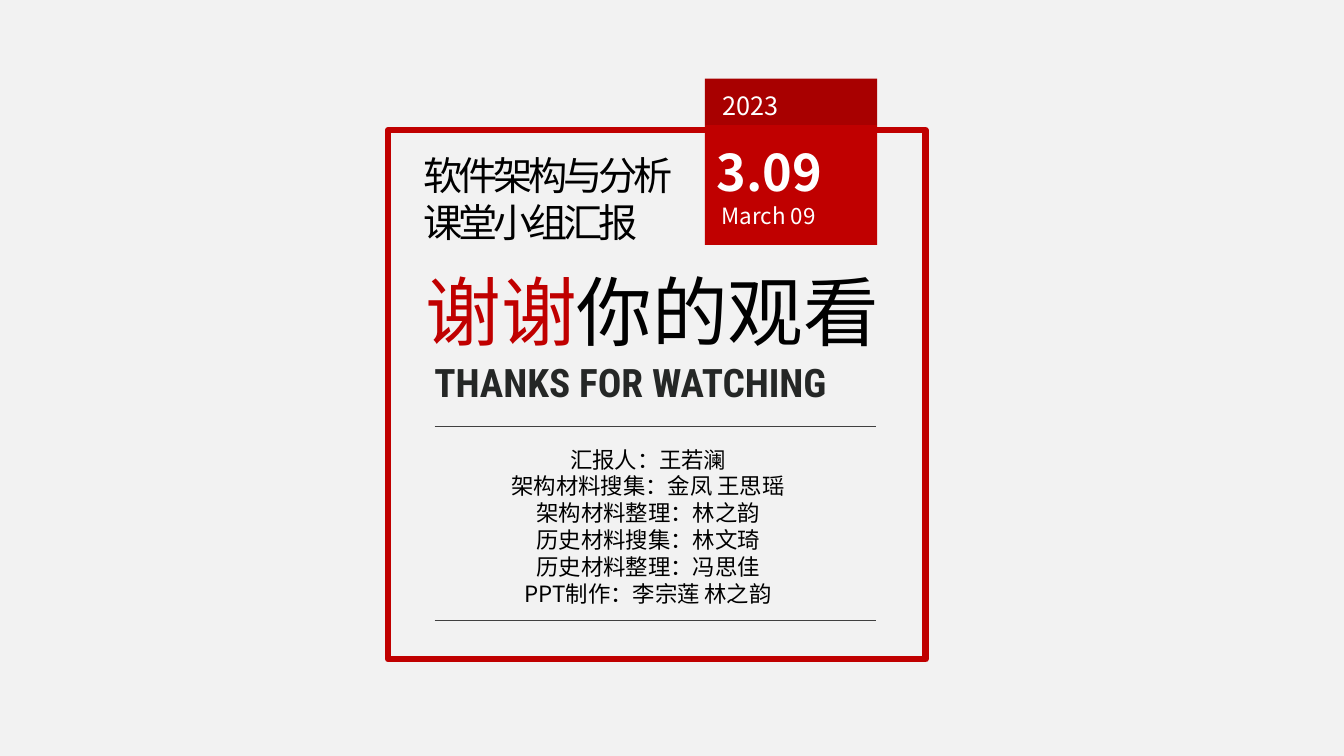
import pptx
import pptx.util
import pptx.dml.color
import pptx.enum.shapes
import pptx.enum.text
import pptx.oxml.ns
import lxml.etree

RGB = pptx.dml.color.RGBColor
RED = RGB(0xC0, 0x00, 0x00)
DARK = RGB(0xA8, 0x00, 0x00)
PALE = RGB(0xF2, 0xF2, 0xF2)
WHITE = RGB(0xFF, 0xFF, 0xFF)
BLACK = RGB(0x00, 0x00, 0x00)
INK = RGB(0x25, 0x27, 0x26)
GREY = RGB(0x40, 0x40, 0x40)
SANS = "Noto Sans CJK SC"
SLIM = "Roboto Condensed"
ALIGN = pptx.enum.text.PP_ALIGN
CELL = pptx.util.Inches(0.1)
FRAME = (38.5, 12.9, 53.3, 52.5)
BADGE = (69.9, 7.8, 17.1, 16.5)
CREW = [
    "汇报人：王若澜",
    "架构材料搜集：金凤 王思瑶",
    "架构材料整理：林之韵",
    "历史材料搜集：林文琦",
    "历史材料整理：冯思佳",
    "PPT制作：李宗莲 林之韵",
]


def inner(box, col, row, wide, high):
    return box[0] + col, box[1] + row, wide, high


def cells(box):
    return [round(size * CELL) for size in box]


def text(slide, box, lines, size, color=BLACK, font=SANS, bold=False,
         align=ALIGN.JUSTIFY, track=None, drop=0.1, shape=None):
    left, top, wide, high = cells(box)
    if shape is None:
        shape = slide.shapes.add_textbox(left, top, wide, high)
    else:
        shape.left, shape.top, shape.width, shape.height = left, top, wide, high
    frame = shape.text_frame
    frame.word_wrap = True
    frame.auto_size = pptx.enum.text.MSO_AUTO_SIZE.NONE
    frame.vertical_anchor = pptx.enum.text.MSO_ANCHOR.TOP
    frame.margin_left = frame.margin_right = pptx.util.Inches(0.1)
    frame.margin_top = pptx.util.Pt(3.6 + drop * size)
    frame.margin_bottom = 0
    for spot, line in enumerate(lines):
        para = frame.add_paragraph() if spot else frame.paragraphs[0]
        para.alignment = align
        para.line_spacing = pptx.util.Pt(1.2 * size)
        parts = [(line, color)] if isinstance(line, str) else line
        for words, tint in parts:
            run = para.add_run()
            run.text = words
            run.font.size = pptx.util.Pt(size)
            run.font.bold = bold
            run.font.name = font
            run.font.color.rgb = tint
            props = run.font._element
            east = lxml.etree.SubElement(props, pptx.oxml.ns.qn("a:ea"))
            east.set("typeface", font)
            if track is not None:
                props.set("spc", str(track * 100))


def panel(slide, box, fill=None, line=None):
    kind = pptx.enum.shapes.MSO_SHAPE.RECTANGLE
    shape = slide.shapes.add_shape(kind, *cells(box))
    shape.shadow.inherit = False
    if fill is None:
        shape.fill.background()
    else:
        shape.fill.solid()
        shape.fill.fore_color.rgb = fill
    if line is None:
        shape.line.fill.background()
    else:
        shape.line.color.rgb = line
        shape.line.width = pptx.util.Pt(4.5)


def rule(slide, box):
    left, top, wide, high = cells(box)
    kind = pptx.enum.shapes.MSO_CONNECTOR.STRAIGHT
    line = slide.shapes.add_connector(kind, left, top, left + wide, top + high)
    line.line.color.rgb = GREY
    line.line.width = pptx.util.Pt(0.5)
    props = line._element.spPr
    lxml.etree.SubElement(props, pptx.oxml.ns.qn("a:effectLst"))


def badge(slide, box):
    wide = box[2]
    panel(slide, inner(box, 0, 0, wide, 4.6), fill=DARK)
    panel(slide, inner(box, 0, 4.6, wide, 11.9), fill=RED)
    text(slide, inner(box, 0.8, 0.4, 15.3, 4), ["2023"], 18, color=WHITE)
    text(slide, inner(box, 0.2, 5.2, 17.1, 7.1), ["3.09"], 36, color=WHITE,
         bold=True, align=ALIGN.LEFT)
    text(slide, inner(box, 0.7, 11.5, 15.3, 3.7), ["March 09"], 16, color=WHITE)


def thanks(slide, box):
    text(slide, inner(box, 2.5, 1.2, 27.2, 10.4), ["软件架构与分析课堂小组汇报"],
         28, align=ALIGN.LEFT, track=-3)
    text(slide, inner(box, 2.7, 12.1, 47.6, 10.1),
         [[("谢谢", RED), ("你的观看", BLACK)]], 54, shape=slide.shapes.title)
    text(slide, inner(box, 3.6, 22.2, 45.7, 5.7), ["THANKS FOR WATCHING"], 28,
         color=INK, font=SLIM, bold=True, drop=0)


def crew(slide, box):
    for row in (29.4, 48.6):
        rule(slide, inner(box, 4.6, row, 43.8, 0))
    text(slide, inner(box, 8.6, 30.6, 34.4, 17.2), CREW, 16, align=ALIGN.CENTER)


def main():
    deck = pptx.Presentation()
    deck.slide_width = pptx.util.Inches(13.33)
    deck.slide_height = pptx.util.Inches(7.5)
    slide = deck.slides.add_slide(deck.slide_layouts[5])
    slide.background.fill.solid()
    slide.background.fill.fore_color.rgb = PALE
    panel(slide, FRAME, line=RED)
    badge(slide, BADGE)
    thanks(slide, FRAME)
    crew(slide, FRAME)
    deck.save("out.pptx")


if __name__ == "__main__":
    main()
